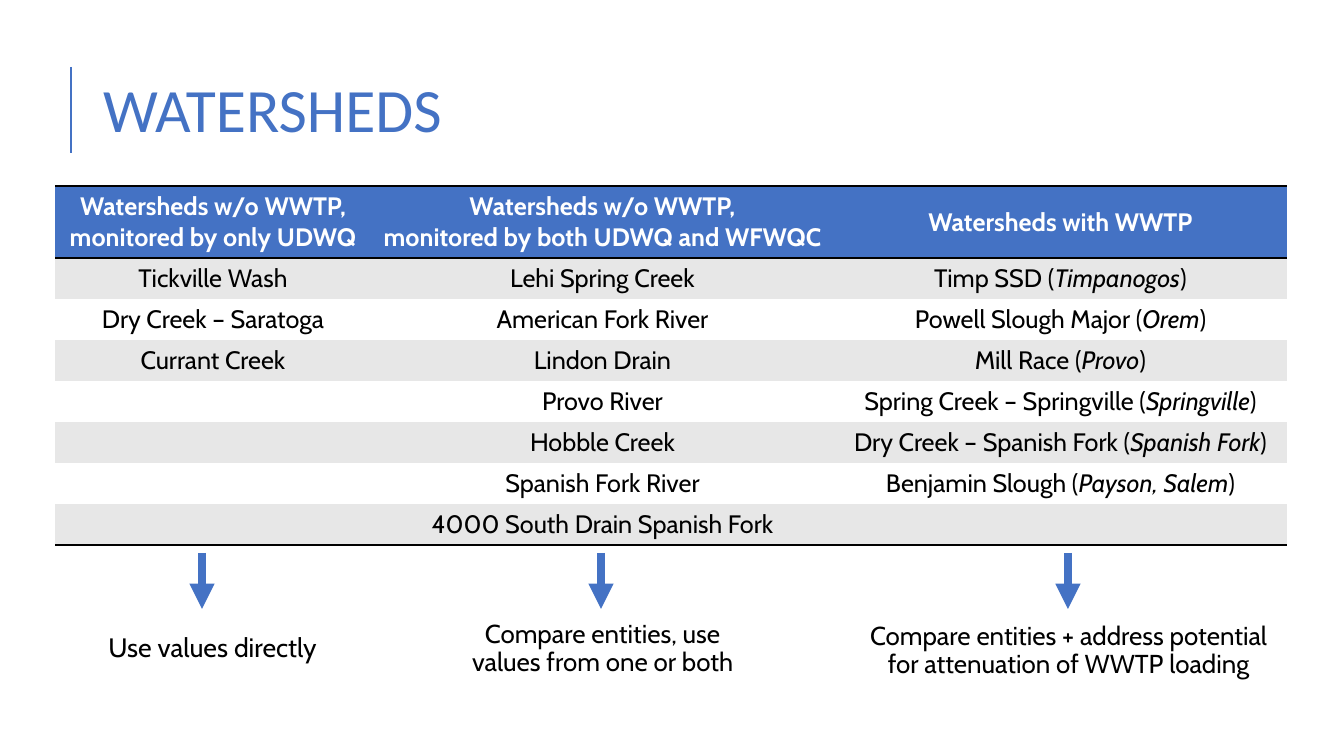
"""Build a slide that sorts watersheds by monitoring and treatment plant."""
from lxml import etree
from pptx import Presentation
from pptx.dml.color import RGBColor
from pptx.enum.shapes import MSO_CONNECTOR
from pptx.enum.text import MSO_ANCHOR, MSO_AUTO_SIZE, PP_ALIGN
from pptx.oxml.ns import qn
from pptx.util import Emu, Pt

STRAIGHT = MSO_CONNECTOR.STRAIGHT
MIDDLE = MSO_ANCHOR.MIDDLE
CENTER, LEFT = PP_ALIGN.CENTER, PP_ALIGN.LEFT
NO_FIT = MSO_AUTO_SIZE.NONE
BLUE = RGBColor(0x44, 0x72, 0xC4)
BLACK = RGBColor(0, 0, 0)
WHITE = RGBColor(255, 255, 255)
GRAY = RGBColor(0xE7, 0xE7, 0xE7)
PLAIN_STYLE = "{2D5ABB26-0587-4C30-8999-92F81FD0307C}"
PX = 914400 / 100.8


def px(*lengths):
    return [Emu(round(length * PX)) for length in lengths]


def add_span(para, text, size, color, font="Cabin", bold=False, italic=False):
    span = para.add_run()
    span.text = text
    span.font.name = font
    span.font.size = Pt(size)
    span.font.bold = bold
    span.font.italic = italic
    span.font.color.rgb = color


deck = Presentation()
deck.slide_width, deck.slide_height = px(1344, 756)
page = deck.slides.add_slide(deck.slide_layouts[5])

title = page.shapes.title
title.left, title.top, title.width, title.height = px(93, 40, 1159, 146)
title.text_frame.vertical_anchor = MIDDLE
title.text_frame.auto_size = NO_FIT
title_para = title.text_frame.paragraphs[0]
title_para.alignment = LEFT
title_para.line_spacing = 0.9
add_span(title_para, "WATERSHEDS", 44, BLUE, font="Calibri")

headers = [
    ["Watersheds w/o WWTP,", "monitored by only UDWQ"],
    ["Watersheds w/o WWTP,", "monitored by both UDWQ and WFWQC"],
    ["Watersheds with WWTP"],
]
columns = [
    ["Tickville Wash", "Dry Creek – Saratoga", "Currant Creek"],
    ["Lehi Spring Creek", "American Fork River", "Lindon Drain", "Provo River",
     "Hobble Creek", "Spanish Fork River", "4000 South Drain Spanish Fork"],
    [("Timp SSD", "Timpanogos"), ("Powell Slough Major", "Orem"),
     ("Mill Race", "Provo"), ("Spring Creek – Springville", "Springville"),
     ("Dry Creek – Spanish Fork", "Spanish Fork"),
     ("Benjamin Slough", "Payson, Salem")],
]
row_count = 1 + max(len(names) for names in columns)
frame = page.shapes.add_table(row_count, 3, *px(55, 186, 1232, 359))
table = frame.table
table.first_row = table.horz_banding = False
next(frame._element.iter(qn("a:tableStyleId"))).text = PLAIN_STYLE
for column, width in zip(table.columns, px(316, 463, 453)):
    column.width = width
for row, height in zip(table.rows, px(72, *[41] * (row_count - 1))):
    row.height = height

for row_index in range(row_count):
    for column_index, names in enumerate(columns):
        cell = table.cell(row_index, column_index)
        cell.vertical_anchor = MIDDLE
        cell.fill.solid()
        cell.fill.fore_color.rgb = GRAY if row_index % 2 else WHITE
        para = cell.text_frame.paragraphs[0]
        para.alignment = CENTER
        edges = []
        if row_index == 0:
            cell.fill.fore_color.rgb = BLUE
            edges = ["a:lnT", "a:lnB"]
            for line_index, text in enumerate(headers[column_index]):
                if line_index:
                    para = cell.text_frame.add_paragraph()
                    para.alignment = CENTER
                add_span(para, text, 18, WHITE, bold=True)
        elif row_index > len(names):
            para.font.size = Pt(18)
        elif column_index == 2:
            watershed, plant = names[row_index - 1]
            add_span(para, watershed + " (", 18, BLACK)
            add_span(para, plant, 18, BLACK, italic=True)
            add_span(para, ")", 18, BLACK)
        else:
            add_span(para, names[row_index - 1], 18, BLACK)
        if row_index == row_count - 1:
            edges = ["a:lnB"]
        properties = cell._tc.get_or_add_tcPr()
        for position, edge in enumerate(edges):
            border = etree.Element(qn(edge), w=str(Pt(2)))
            paint = etree.SubElement(border, qn("a:solidFill"))
            etree.SubElement(paint, qn("a:srgbClr"), val=str(BLACK))
            properties.insert(position, border)

lines = [(71, 67, 153, 1, False)]
lines += [(x, 553, 609, 6, True) for x in (202, 601, 1068)]
for x, top, bottom, weight, has_arrow in lines:
    line = page.shapes.add_connector(STRAIGHT, *px(x, top, x, bottom))
    line.line.color.rgb = BLUE
    line.line.width = Pt(weight)
    if has_arrow:
        etree.SubElement(line.line._get_or_add_ln(), qn("a:tailEnd"), type="triangle")
    etree.SubElement(line._element.spPr, qn("a:effectLst"))

notes = [
    (72, 609, 281, 19, "Use values directly"),
    (462, 609, 281, 18.5, "Compare entities, use values from one or both"),
    (854, 611, 429, 18.5,
     "Compare entities + address potential for attenuation of WWTP loading"),
]
for left, top, width, size, text in notes:
    box = page.shapes.add_textbox(*px(left, top, width, 80))
    box.text_frame.word_wrap = True
    box.text_frame.vertical_anchor = MIDDLE
    para = box.text_frame.paragraphs[0]
    para.alignment = CENTER
    para.line_spacing = 0.9
    add_span(para, text, size, BLACK)

deck.save("out.pptx")
